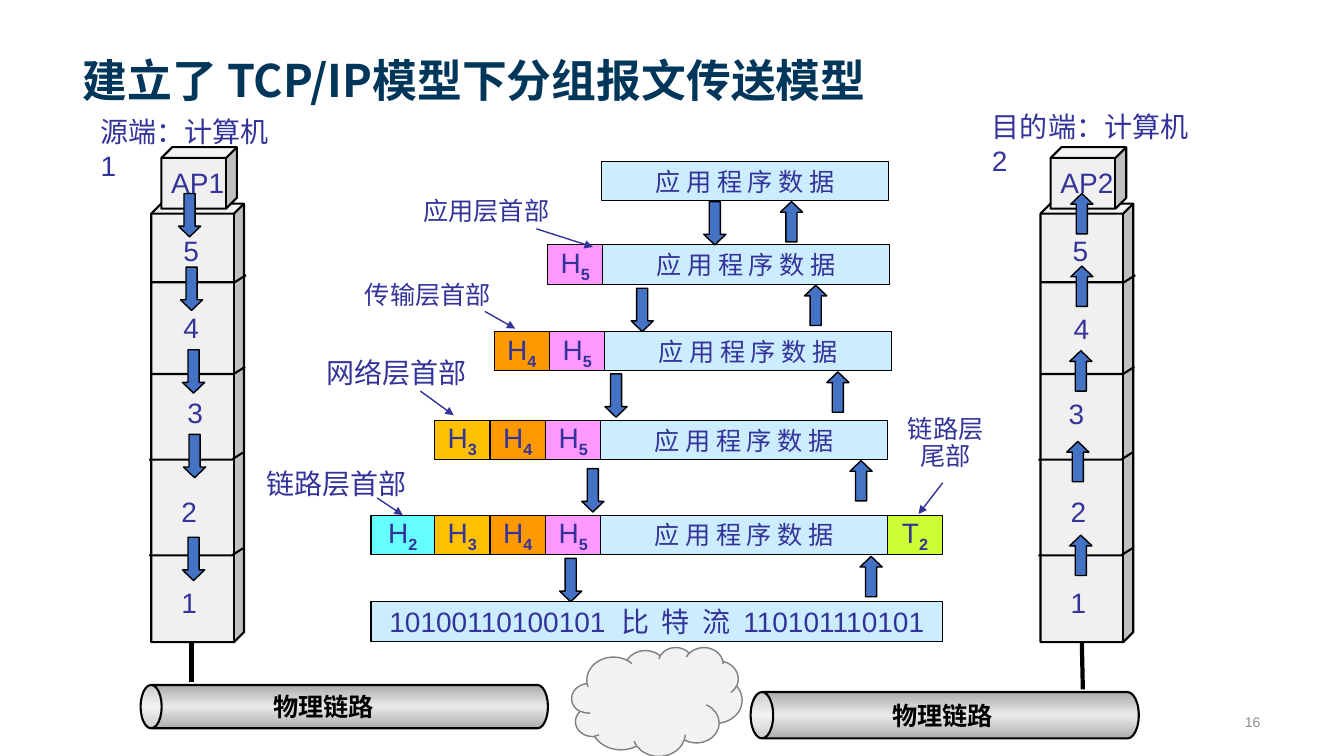
import pptx
import pptx.util
import pptx.dml.color
import pptx.enum.shapes
import pptx.enum.text
import pptx.oxml
import pptx.oxml.ns
from lxml import etree

RGBColor = pptx.dml.color.RGBColor
MSO_SHAPE = pptx.enum.shapes.MSO_SHAPE
ANCHOR = pptx.enum.text.MSO_ANCHOR
ALIGN = pptx.enum.text.PP_ALIGN
Inches = pptx.util.Inches
Pt = pptx.util.Pt
qn = pptx.oxml.ns.qn

NAVY = RGBColor(0x00, 0x36, 0x59)
INDIGO = RGBColor(0x33, 0x33, 0x99)
BLACK = RGBColor(0, 0, 0)
GREY = RGBColor(0x8C, 0x8C, 0x8C)
CLOUD_LINE = RGBColor(0x80, 0x80, 0x80)
CLOUD_FILL = RGBColor(0xF2, 0xF2, 0xF2)
STACK = RGBColor(0xF0, 0xF0, 0xF0)
SKY = RGBColor(0xCC, 0xEC, 0xFF)
BLUE = RGBColor(0x44, 0x72, 0xC4)
PINK = RGBColor(0xFF, 0x99, 0xFF)
ORANGE = RGBColor(0xFF, 0x99, 0x00)
AMBER = RGBColor(0xFF, 0xC0, 0x00)
CYAN = RGBColor(0x66, 0xFF, 0xFF)
LIME = RGBColor(0xCC, 0xFF, 0x33)

TITLE = "建立了 TCP/IP模型下分组报文传送模型"
PAGE = "16"
DATA = "应 用 程 序 数 据"
BITS = "10100110100101  比  特  流  110101110101"
LINK = "物理链路"
HEADERS = {"5": (PINK, 0.55), "4": (ORANGE, 0.55), "3": (AMBER, 0.55), "2": (CYAN, 0.63)}
DATA_W, BOX_H = 2.84, 0.39
DATA_ROWS = [(5.97, 1.6, ""), (5.98, 2.43, "5"), (6, 3.29, "54"),
             (5.96, 4.17, "543"), (5.96, 5.11, "5432")]
HEADER_NOTES = [
    (["应用层首部"], 18, (4.1, 1.89, 1.46, 0.4), (5.32, 2.27, 5.88, 2.45)),
    (["传输层首部"], 18, (3.52, 2.72, 1.46, 0.4), (4.81, 3.09, 5.11, 3.26)),
    (["网络层首部"], 20, (3.14, 3.48, 1.59, 0.43), (4.17, 3.88, 4.5, 4.12)),
    (["链路层首部"], 20, (2.12, 4.62, 2.44, 0.4), (3.74, 4.94, 3.99, 5.11)),
    (["链路层", "尾部"], 18, (8.9, 4.08, 0.96, 0.65), (9.35, 4.79, 9.11, 5.1)),
]
SEAMS = [(1.51, 2.73), (1.5, 3.64), (1.48, 4.49), (1.48, 5.44)]
HOST_GAP = 8.82
HOSTS = [
    (0, "AP1", "源端：计算机 1", (0.9, 1.09, 1.95, 0.75),
     [(1.72, 2.27), (1.72, 3.03), (1.76, 3.87), (1.7, 4.86), (1.7, 5.76)]),
    (HOST_GAP, "AP2", "目的端：计算机2", (9.74, 1.04, 2.2, 0.75),
     [(10.54, 2.27), (10.55, 3.04), (10.5, 3.88), (10.52, 4.86), (10.52, 5.76)]),
]
DOWN = [(1.77, 1.92), (1.79, 2.65), (1.81, 3.47), (1.82, 4.31), (1.81, 5.33), (6.98, 2),
        (6.26, 2.86), (6, 3.71), (5.77, 4.65), (5.55, 5.54)]
UP = [(7.74, 2), (7.98, 2.83), (8.2, 3.69), (8.43, 4.57), (8.53, 5.52),
      (10.62, 1.92), (10.62, 2.64), (10.61, 3.48), (10.58, 4.38), (10.61, 5.31)]
PIPES = [((3.2, 4.99, 0.43, 4.04), (2.61, 6.81)), ((9.14, 5.17, 0.46, 3.85), (8.75, 6.9))]
DROPS = [(1.9, 6.37, 1.9, 6.77), (10.73, 6.38, 10.74, 6.84)]

deck = pptx.Presentation()
deck.slide_width, deck.slide_height = Inches(13.33), Inches(7.5)
shapes = deck.slides.add_slide(deck.slide_layouts[6]).shapes


def style(paragraph, size, font, color, bold=False, align=ALIGN.LEFT):
    paragraph.alignment = align
    paragraph.font.size = Pt(size)
    paragraph.font.name = font
    paragraph.font.color.rgb = color
    paragraph.font.bold = bold


def write(lines, box, size=20, font="Arial", color=INDIGO, bold=False,
          align=ALIGN.LEFT, anchor=ANCHOR.TOP, wrap=False, spacing=None):
    frame = shapes.add_textbox(*map(Inches, box)).text_frame
    frame.word_wrap = wrap
    frame.vertical_anchor = anchor
    frame.text = "\n".join(lines)
    for paragraph in frame.paragraphs:
        style(paragraph, size, font, color, bold, align)
        paragraph.line_spacing = spacing


def draw(kind, box, fill, line=BLACK, width=1.5, adjust=()):
    shape = shapes.add_shape(kind, *map(Inches, box))
    shape.shadow.inherit = False
    for i, value in enumerate(adjust):
        shape.adjustments[i] = value
    if fill is not None:
        shape.fill.solid()
        shape.fill.fore_color.rgb = fill
    shape.line.color.rgb = line
    shape.line.width = Pt(width)
    return shape


def cell(text, box, fill, size=20, font="Arial", sub=""):
    shape = draw(MSO_SHAPE.RECTANGLE, box, fill, width=0.75)
    frame = shape.text_frame
    frame.word_wrap = False
    frame.vertical_anchor = ANCHOR.MIDDLE
    paragraph = frame.paragraphs[0]
    paragraph.add_run().text = text
    style(paragraph, size, font, INDIGO, align=ALIGN.CENTER)
    if sub:
        run = paragraph.add_run()
        run.text = sub
        run.font.bold = True
        run._r.get_or_add_rPr().set("baseline", "-25000")
    return shape


def connect(ends, color, width, arrow=False):
    line = shapes.add_connector(pptx.enum.shapes.MSO_CONNECTOR.STRAIGHT, *map(Inches, ends))
    line.line.color.rgb = color
    line.line.width = Pt(width)
    if arrow:
        etree.SubElement(line.line._get_or_add_ln(), qn("a:tailEnd"), type="triangle")
    etree.SubElement(line._element.spPr, qn("a:effectLst"))
    return line


def pipe(box):
    shape = draw(MSO_SHAPE.CAN, box, None, adjust=[0.487])
    shape.rotation = 270
    shape.fill.gradient()
    gradient = shape._element.spPr.find(qn("a:gradFill"))
    stops = "".join(f'<a:gs pos="{pos}"><a:srgbClr val="{color}"/></a:gs>'
                    for pos, color in [(0, "ACACAC"), (50000, "EAEAEA"), (100000, "ACACAC")])
    gradient.getparent().replace(gradient, pptx.oxml.parse_xml(
        f'<a:gradFill {pptx.oxml.ns.nsdecls("a")} rotWithShape="0"><a:gsLst>{stops}</a:gsLst>'
        '<a:lin ang="5400000" scaled="0"/></a:gradFill>'))


write([TITLE], (0.72, 0, 11.88, 1.11), 32, "Noto Sans CJK SC", NAVY, True,
      anchor=ANCHOR.BOTTOM, wrap=True)

for shift, app, host, host_box, digits in HOSTS:
    draw(MSO_SHAPE.CUBE, (1.5 + shift, 2.02, 0.92, 4.35), STACK, adjust=[0.108])
    for layer, (x, y) in zip("54321", digits):
        write([layer], (x, y, 0.36, 0.43))
    for x, y in SEAMS:
        x += shift
        outline = shapes.build_freeform(Inches(x), Inches(y + 0.07))
        outline.add_line_segments([(Inches(x + 0.82), Inches(y + 0.07)),
                                   (Inches(x + 0.93), Inches(y))], close=False)
        seam = outline.convert_to_shape()
        seam.shadow.inherit = False
        seam.fill.background()
        seam.line.color.rgb = BLACK
        seam.line.width = Pt(1.5)
    write([host], host_box, wrap=True)
    draw(MSO_SHAPE.CUBE, (1.6 + shift, 1.46, 0.75, 0.61), STACK, adjust=[0.176])
    write([app], (1.6 + shift, 1.59, 0.73, 0.44))

for left, top, headers in DATA_ROWS:
    cell(DATA, (left, top, DATA_W, BOX_H), SKY, 18, "Cabin")
    edge = left
    for number in headers:
        fill, width = HEADERS[number]
        edge -= width
        header = cell("H", (edge, top, width, BOX_H), fill, sub=number)
link_header = header
cell("T", (left + DATA_W, top, 0.55, BOX_H), LIME, sub="2")
cell(BITS, (3.68, 5.97, 5.67, BOX_H), SKY)

for lines, size, box, ends in HEADER_NOTES:
    is_link = lines[0].startswith("链路层")
    write(lines, box, size, "TeX Gyre Adventor", align=ALIGN.CENTER if is_link else ALIGN.LEFT,
          spacing=0.9 if is_link else None)
    pointer = connect(ends, INDIGO, 1, arrow=True)
    if lines == ["链路层首部"]:
        pointer.end_connect(link_header, 0)

for kind, places, height in [(MSO_SHAPE.DOWN_ARROW, DOWN, 0.43), (MSO_SHAPE.UP_ARROW, UP, 0.4)]:
    for x, y in places:
        draw(kind, (x, y, 0.22, height), BLUE, width=1, adjust=[0.5, 0.48])

draw(MSO_SHAPE.CLOUD, (5.67, 6.42, 1.69, 1.08), CLOUD_FILL, CLOUD_LINE, 1)
for box, (x, y) in PIPES:
    pipe(box)
    write([LINK], (x, y, 1.21, 0.4), 18, color=BLACK, bold=True)
for ends in DROPS:
    connect(ends, BLACK, 3)
write([PAGE], (8.5, 7.01, 4.1, 0.3), 10, color=GREY, align=ALIGN.RIGHT,
      anchor=ANCHOR.MIDDLE, wrap=True)

deck.save("out.pptx")
